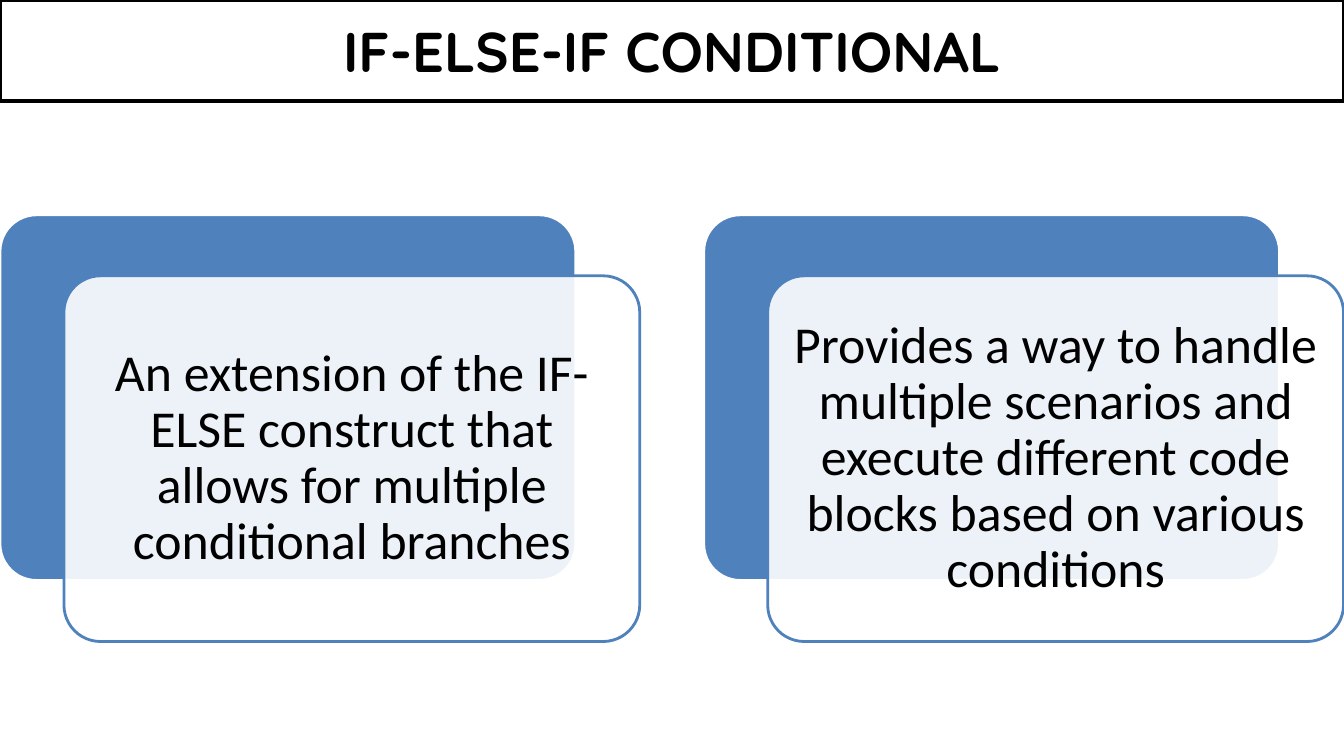
from lxml import etree
from pptx import Presentation
from pptx.dml.color import RGBColor
from pptx.enum import shapes, text
from pptx.oxml import ns
from pptx.util import Pt

BLACK = RGBColor(0x00, 0x00, 0x00)
WHITE = RGBColor(0xFF, 0xFF, 0xFF)
BLUE = RGBColor(0x4F, 0x81, 0xBD)

CARD_WIDTH, CARD_HEIGHT = 411.3, 261.2
CARD_TOP = 153.4
CARD_PITCH = 502.7
OFFSET_X, OFFSET_Y = 45.7, 43.6
POINTS = [
    "An extension of the IF-ELSE construct that allows for multiple conditional branches",
    "Provides a way to handle multiple scenarios and execute different code blocks "
    "based on various conditions",
]


def add_card(page, left, top, fill, line):
    card = page.shapes.add_shape(
        shapes.MSO_SHAPE.ROUNDED_RECTANGLE,
        Pt(left), Pt(top), Pt(CARD_WIDTH), Pt(CARD_HEIGHT),
    )
    card.adjustments[0] = 0.1
    card.shadow.inherit = False
    card.fill.solid()
    card.fill.fore_color.rgb = fill
    card.line.color.rgb = line
    card.line.width = Pt(2)
    return card


def write_text(shape, wording, font, size, bold=False):
    frame = shape.text_frame
    frame.text = wording
    frame.word_wrap = True
    frame.auto_size = text.MSO_AUTO_SIZE.NONE
    frame.vertical_anchor = text.MSO_ANCHOR.MIDDLE
    para = frame.paragraphs[0]
    para.alignment = text.PP_ALIGN.CENTER
    span = para.runs[0]
    span.font.name = font
    span.font.size = Pt(size)
    span.font.bold = bold
    span.font.color.rgb = BLACK


deck = Presentation()
deck.slide_width, deck.slide_height = Pt(960), Pt(540)
page = deck.slides.add_slide(deck.slide_layouts[5])

title = page.shapes.title
title.left, title.top, title.width, title.height = Pt(0), Pt(0), Pt(960), Pt(72)
title.line.color.rgb = BLACK
title.line.width = Pt(3)
write_text(title, "IF-ELSE-IF CONDITIONAL", "Quicksand", 40, bold=True)

for index, point in enumerate(POINTS):
    left = index * CARD_PITCH
    add_card(page, left, CARD_TOP, BLUE, WHITE)
    front = add_card(page, left + OFFSET_X, CARD_TOP + OFFSET_Y, WHITE, BLUE)
    fill_color = front.fill._xPr.find(ns.qn("a:solidFill"))[0]
    etree.SubElement(fill_color, ns.qn("a:alpha"), val="90000")

    write_text(front, point, "Calibri", 37)
    frame = front.text_frame
    frame.margin_left = frame.margin_right = Pt(10.8)
    frame.margin_top = frame.margin_bottom = Pt(10.8)
    frame.paragraphs[0].line_spacing = 0.9

deck.save("out.pptx")
